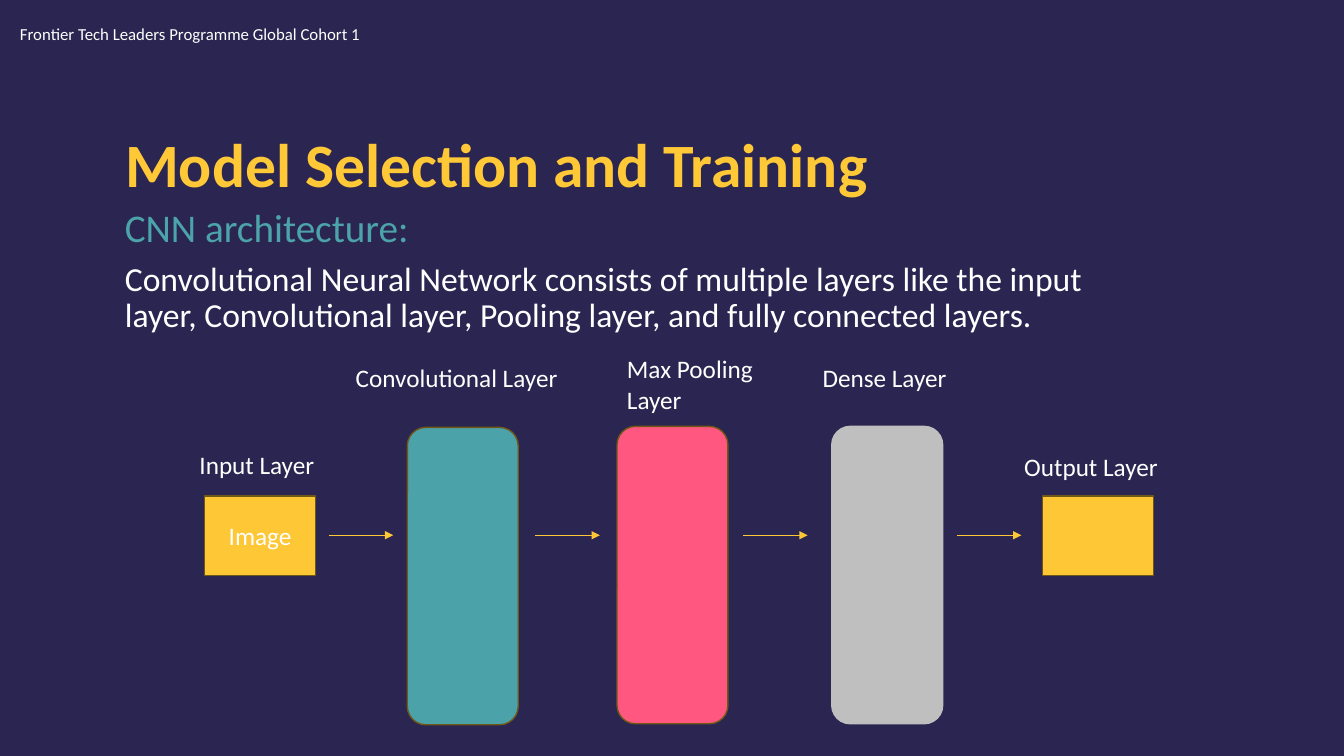
import pptx
import pptx.dml.color
import pptx.enum.shapes
import pptx.enum.text
import pptx.oxml
import pptx.oxml.ns
import pptx.util

PX = 9144
FONT = "Calibri"
NIGHT, GOLD, AMBER, BROWN = "2B2551", "FFC837", "FEC736", "6F5718"
TEAL, TEAL_TEXT, PINK, GREY = "4CA2A9", "4CA3AA", "FF577F", "BFBFBF"
WHITE, SOFT_WHITE = "FFFFFF", "FEFFFE"
SHAPES = pptx.enum.shapes.MSO_SHAPE
ALIGN = pptx.enum.text.PP_ALIGN
ANCHOR = pptx.enum.text.MSO_ANCHOR

BLOCK_WIDTH, SMALL_HEIGHT, TALL_HEIGHT = 110, 79, 295
ARROW_LENGTH = 64
LAYERS = [
    {"label": "Input Layer", "label_box": (0, 95, 138, 40), "left": 15, "top": 146,
     "fill": AMBER, "line": BROWN, "text": "Image", "arrow": 138},
    {"label": "Convolutional Layer", "label_box": (155, 9, 236, 40), "left": 216, "top": 78,
     "fill": TEAL, "line": BROWN, "tall": True, "arrow": 343},
    {"label": "Max Pooling Layer", "label_box": (424, 0, 157, 71), "left": 424, "top": 77,
     "fill": PINK, "line": BROWN, "tall": True, "arrow": 549},
    {"label": "Dense Layer", "label_box": (618, 9, 157, 40), "left": 637, "top": 77,
     "fill": GREY, "line": GREY, "tall": True, "arrow": 761},
    {"label": "Output Layer", "label_box": (818, 97, 168, 40), "left": 846, "top": 146,
     "fill": AMBER, "line": BROWN},
]


def px(*lengths):
    return [pptx.util.Emu(length * PX) for length in lengths]


def color(value):
    return pptx.dml.color.RGBColor.from_string(value)


def apply(target, values):
    for name, value in values.items():
        setattr(target, name, value)


def write(shape, text, size, ink, bold=False, anchor=ANCHOR.TOP, **paragraph):
    frame = shape.text_frame
    apply(frame, {"word_wrap": True, "vertical_anchor": anchor,
                  "auto_size": pptx.enum.text.MSO_AUTO_SIZE.NONE})
    para = frame.paragraphs[0]
    apply(para, {"alignment": ALIGN.LEFT, **paragraph})
    span = para.add_run()
    span.text = text
    apply(span.font, {"name": FONT, "size": pptx.util.Pt(size), "bold": bold})
    span.font.color.rgb = color(ink)


def add_text(page, box, text, size, ink, **paragraph):
    write(page.shapes.add_textbox(*px(*box)), text, size, ink, **paragraph)


def add_block(page, box, kind, fill, line):
    block = page.shapes.add_shape(kind, *px(*box))
    block.shadow.inherit = False
    block.fill.solid()
    block.fill.fore_color.rgb = color(fill)
    block.line.color.rgb = color(line)
    block.line.width = pptx.util.Pt(1)
    return block


def add_arrow(page, left, middle):
    arrow = page.shapes.add_connector(
        pptx.enum.shapes.MSO_CONNECTOR.STRAIGHT,
        *px(left, middle, left + ARROW_LENGTH, middle))
    arrow.line.color.rgb = color(AMBER)
    arrow.line.width = pptx.util.Pt(0.5)
    head = pptx.oxml.parse_xml(
        f'<a:tailEnd {pptx.oxml.ns.nsdecls("a")} type="triangle"/>')
    arrow.line._get_or_add_ln().append(head)
    effects = pptx.oxml.parse_xml(f'<a:effectLst {pptx.oxml.ns.nsdecls("a")}/>')
    arrow._element.spPr.append(effects)


def add_heading(page, box):
    left, top, width, height = box
    title = page.shapes.title
    apply(title, dict(zip(("left", "top", "width", "height"),
                          px(left, top, width, 101))))
    write(title, "Model Selection and Training", 44, GOLD, bold=True,
          anchor=ANCHOR.MIDDLE, line_spacing=0.9)
    spacing = {"line_spacing": 0.9, "space_before": pptx.util.Pt(10)}
    add_text(page, (left, top + 86, 1030, 53), "CNN architecture:",
             28, TEAL_TEXT, **spacing)
    add_text(page, (left, top + 139, 1030, height - 139),
             "Convolutional Neural Network consists of multiple layers like the input "
             "layer, Convolutional layer, Pooling layer, and fully connected layers.",
             24, WHITE, **spacing)


def add_network(page, box):
    left, top, width, height = box
    middle = top + height // 2 - 1
    for layer in LAYERS:
        tall = layer.get("tall", False)
        block = add_block(
            page,
            (left + layer["left"], top + layer["top"], BLOCK_WIDTH,
             TALL_HEIGHT if tall else SMALL_HEIGHT),
            SHAPES.ROUNDED_RECTANGLE if tall else SHAPES.RECTANGLE,
            layer["fill"], layer["line"])
        if "text" in layer:
            write(block, layer["text"], 18, WHITE,
                  anchor=ANCHOR.MIDDLE, alignment=ALIGN.CENTER)
        label_left, label_top, label_width, label_height = layer["label_box"]
        add_text(page, (left + label_left, top + label_top, label_width, label_height),
                 layer["label"], 18, SOFT_WHITE)
        if "arrow" in layer:
            add_arrow(page, left + layer["arrow"], middle)


def main():
    deck = pptx.Presentation()
    deck.slide_width, deck.slide_height = px(1333, 750)
    page = deck.slides.add_slide(deck.slide_layouts[5])
    page.background.fill.solid()
    page.background.fill.fore_color.rgb = color(NIGHT)
    add_text(page, (10, 19, 554, 30),
             "Frontier Tech Leaders Programme Global Cohort 1", 12, SOFT_WHITE)
    add_heading(page, (114, 116, 1106, 222))
    add_network(page, (188, 346, 986, 373))
    deck.save("out.pptx")


if __name__ == "__main__":
    main()
